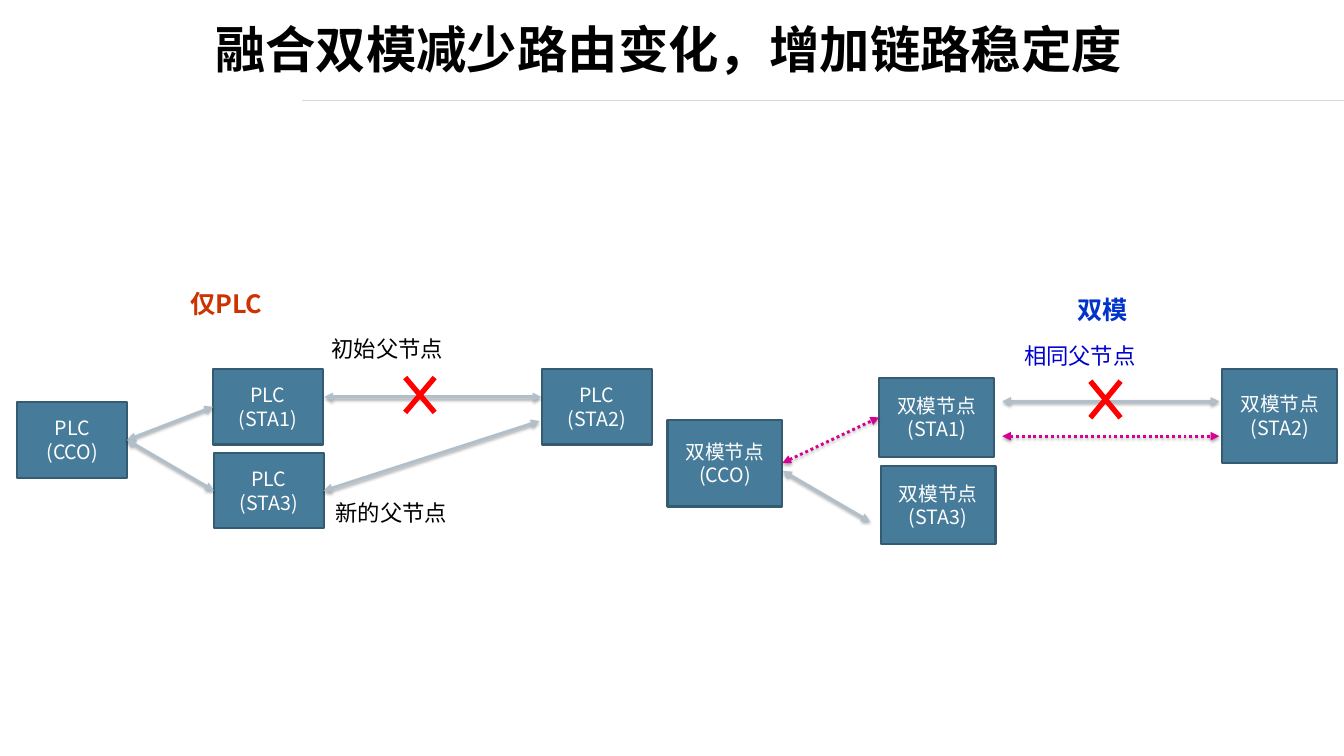
from lxml import etree
from pptx import Presentation
from pptx.dml.color import RGBColor
from pptx.enum.dml import MSO_LINE
from pptx.enum.shapes import MSO_CONNECTOR, MSO_SHAPE
from pptx.enum.text import MSO_ANCHOR, PP_ALIGN
from pptx.oxml import parse_xml
from pptx.oxml.ns import nsdecls, qn
from pptx.util import Pt

FONT = "Noto Sans CJK SC"
BLACK = RGBColor(0x00, 0x00, 0x00)
WHITE = RGBColor(0xFF, 0xFF, 0xFF)
RULE = RGBColor(0xD9, 0xD9, 0xD9)
STEEL = RGBColor(0x46, 0x7B, 0x9A)
STEEL_DARK = RGBColor(0x34, 0x5B, 0x72)
GREY = RGBColor(0xB0, 0xBF, 0xCA)
MAGENTA = RGBColor(0xD6, 0x00, 0x93)
RED = RGBColor(0xFF, 0x00, 0x00)
RUST = RGBColor(0xCC, 0x33, 0x00)
BLUE = RGBColor(0x00, 0x33, 0xCC)
NAVY = RGBColor(0x00, 0x00, 0xCC)

TOP, LEFT, BOTTOM, RIGHT = range(4)
SHADOW = (f'<a:effectLst {nsdecls("a")}>'
          '<a:outerShdw blurRad="39370" dist="22860" dir="5400000" rotWithShape="0">'
          '<a:srgbClr val="000000"><a:alpha val="35000"/></a:srgbClr>'
          '</a:outerShdw></a:effectLst>')
NO_SHADOW = f'<a:effectLst {nsdecls("a")}/>'


def write(sp, text, size, color, bold=False, align=PP_ALIGN.LEFT,
          anchor=MSO_ANCHOR.TOP, wrap=True, inset=None):
    """Fill a shape with text: \\n starts a paragraph, \\v breaks a line."""
    tf = sp.text_frame
    tf.word_wrap = wrap
    tf.vertical_anchor = anchor
    if inset is not None:
        tf.margin_left = tf.margin_right = Pt(inset)
        tf.margin_top = tf.margin_bottom = Pt(inset)
    for i, line in enumerate(text.split("\n")):
        p = tf.add_paragraph() if i else tf.paragraphs[0]
        p.text = line
        p.alignment = align
        for r in p.runs:
            r.font.name = FONT
            r.font.size = Pt(size)
            r.font.bold = bold
            r.font.color.rgb = color
            ea = etree.SubElement(r.font._element, qn("a:ea"))
            ea.set("typeface", FONT)


def add_text(s, x, y, w, h, text, size, color, **fmt):
    sp = s.shapes.add_textbox(Pt(x), Pt(y), Pt(w), Pt(h))
    write(sp, text, size, color, **fmt)


def add_node(s, x, y, w, h, text):
    sp = s.shapes.add_shape(MSO_SHAPE.RECTANGLE, Pt(x), Pt(y), Pt(w), Pt(h))
    sp.shadow.inherit = False
    sp.fill.solid()
    sp.fill.fore_color.rgb = STEEL
    sp.line.color.rgb = STEEL_DARK
    sp.line.width = Pt(2)
    write(sp, text, 18.7, WHITE, align=PP_ALIGN.CENTER, anchor=MSO_ANCHOR.MIDDLE)
    return sp


def add_cross(s, x, y, w, h):
    sp = s.shapes.add_shape(MSO_SHAPE.MATH_MULTIPLY, Pt(x), Pt(y), Pt(w), Pt(h))
    sp.adjustments[0] = 0.093
    sp.shadow.inherit = False
    sp.fill.solid()
    sp.fill.fore_color.rgb = RED
    sp.line.fill.background()


def add_line(s, start, end, color, width, effect=NO_SHADOW):
    line = s.shapes.add_connector(MSO_CONNECTOR.STRAIGHT, *map(Pt, start + end))
    line.line.color.rgb = color
    line.line.width = Pt(width)
    line._element.spPr.append(parse_xml(effect))
    return line


def add_link(s, start=(0, 0), end=(0, 0), begin_node=None, end_node=None, radio=False):
    """Two-way arrow from a point or a node's right side to a point or a left side."""
    link = add_line(s, start, end, MAGENTA if radio else GREY, 2.75, SHADOW)
    if radio:
        link.line.dash_style = MSO_LINE.ROUND_DOT
    ln = link._element.spPr.find(qn("a:ln"))
    for tag in ("a:headEnd", "a:tailEnd"):
        etree.SubElement(ln, qn(tag)).set("type", "triangle")
    if begin_node is not None:
        link.begin_connect(begin_node, RIGHT)
    if end_node is not None:
        link.end_connect(end_node, LEFT)


def add_header(s, x, y, w, h):
    add_line(s, (x + 288, y + 95.8), (x + w, y + 95.8), RULE, 0.75)
    add_text(s, x, y + 5, w - 6.5, 82.8, "融合双模减少路由变化，增加链路稳定度", 48, BLACK,
             bold=True, align=PP_ALIGN.CENTER, anchor=MSO_ANCHOR.MIDDLE, inset=4.3)


def add_plc_only(s, x, y):
    size = (104.5, 72)
    cco = add_node(s, x + 0.6, y + 113, *size, "PLC\v(CCO)")
    sta1 = add_node(s, x + 187, y + 81.4, *size, "PLC\n(STA1)")
    add_node(s, x + 500.2, y + 81.4, *size, "PLC\n(STA2)")
    sta3 = add_node(s, x + 187.8, y + 161.3, *size, "PLC\n(STA3)")

    add_link(s, (x + 292.9, y + 108), (x + 499.5, y + 108))
    add_link(s, end=(x + 498, y + 131), begin_node=sta3)
    for sta in (sta1, sta3):
        add_link(s, begin_node=cco, end_node=sta)
    add_cross(s, x + 357, y + 74.2, 54, 64)

    add_text(s, x + 158.2, y + 1.4, 228.2, 36, "仅PLC", 24, RUST, bold=True)
    add_text(s, x + 292.9, y + 46.1, 228.2, 33, "初始父节点", 21.3, BLACK)
    add_text(s, x + 296.5, y + 202.3, 180, 33, "新的父节点", 21.3, BLACK)


def add_dual_mode(s, x, y):
    w = 109.4
    cco = add_node(s, x + 0.8, y + 129.6, w, 82.8, "双模节点(CCO)")
    sta1 = add_node(s, x + 202.4, y + 90, w, 74.9, "双模节点(STA1)")
    add_node(s, x + 529.2, y + 81.4, w, 89.3, "双模节点(STA2)")
    add_node(s, x + 203.8, y + 173.5, w, 74.9, "双模节点(STA3)")

    add_link(s, begin_node=cco, end_node=sta1, radio=True)
    add_link(s, (x + 110.9, y + 178.6), (x + 193.7, y + 226.8))
    for dy, radio in ((112.3, False), (145.4, True)):
        add_link(s, (x + 319.7, y + dy), (x + 526.4, y + dy), radio=radio)
    add_cross(s, x + 390.3, y + 77, 55.4, 67)

    add_text(s, x + 327.6, y + 6.5, 175, 36, "双模", 24, BLUE, bold=True,
             align=PP_ALIGN.CENTER)
    add_text(s, x + 333.4, y + 52.6, 122.4, 33, "相同父节点", 21.3, NAVY, wrap=False)


def main():
    prs = Presentation()
    prs.slide_width, prs.slide_height = Pt(1280.16), Pt(720)
    s = prs.slides.add_slide(prs.slide_layouts[6])
    add_header(s, 0, 0, 1280.16, 96)
    add_plc_only(s, 16, 270)
    add_dual_mode(s, 635, 270)
    prs.save("out.pptx")


if __name__ == "__main__":
    main()
